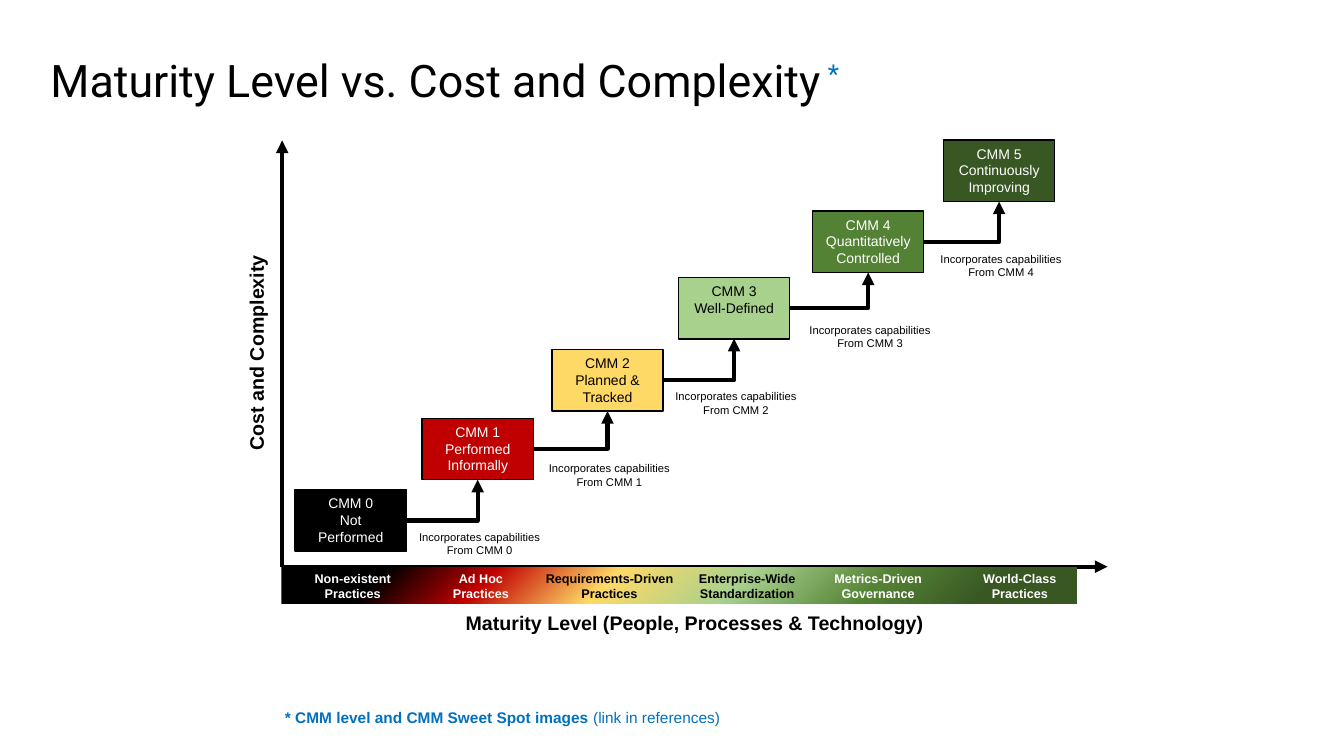
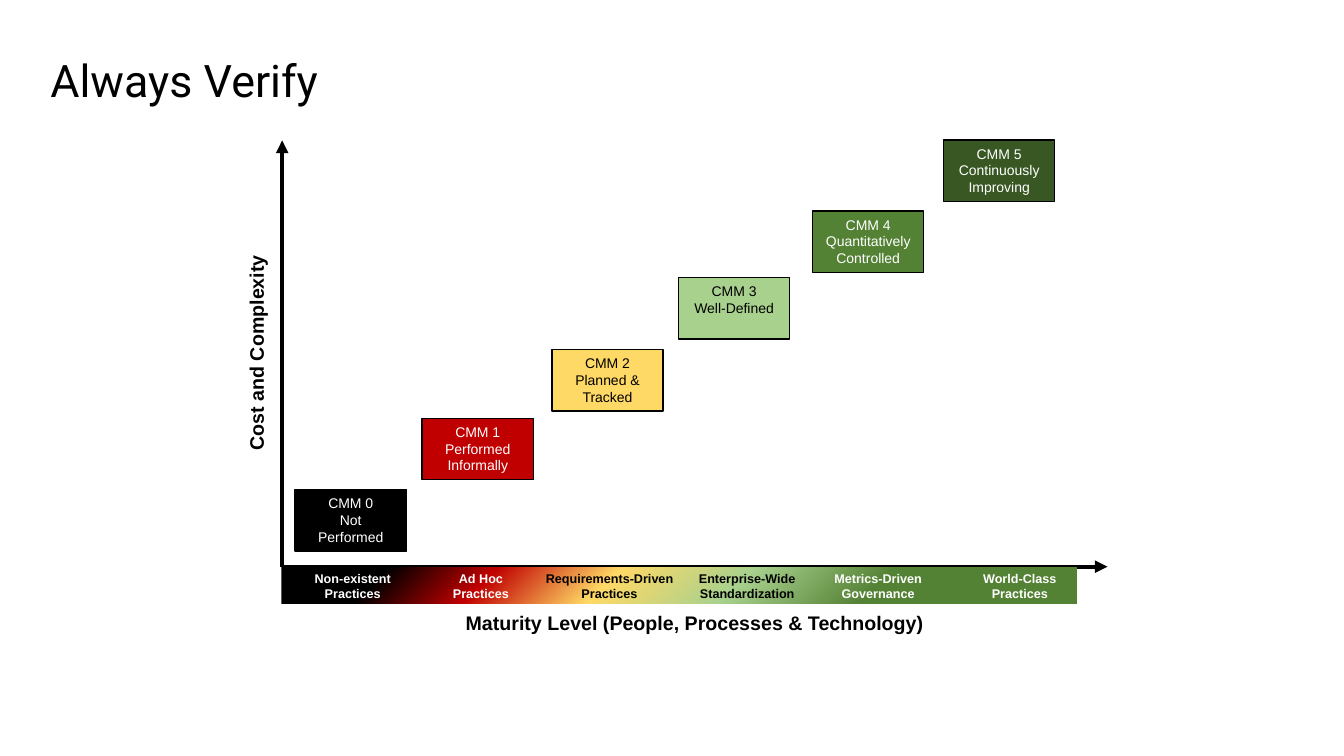
"""Build two slides that plot the CMM maturity levels against cost and complexity."""
import dataclasses

import lxml.etree
import pptx
import pptx.dml.color
import pptx.enum.dml
import pptx.enum.shapes
import pptx.enum.text
import pptx.oxml.ns
import pptx.util

Cm, Pt = pptx.util.Cm, pptx.util.Pt
RGB = pptx.dml.color.RGBColor.from_string
qn = pptx.oxml.ns.qn
ALIGN, ANCHOR = pptx.enum.text.PP_ALIGN, pptx.enum.text.MSO_ANCHOR
SHAPE, CONNECTOR = pptx.enum.shapes.MSO_SHAPE, pptx.enum.shapes.MSO_CONNECTOR


@dataclasses.dataclass(frozen=True)
class Theme:
    black: str = "000000"
    white: str = "FFFFFF"
    red: str = "C00000"
    yellow: str = "FFD966"
    light_green: str = "A9D18E"
    green: str = "548235"
    dark_green: str = "385723"
    note_blue: str = "0070C0"
    title_font: str = "Roboto"
    body_font: str = "Arial"
    title_size: int = 32
    axis_size: int = 14
    note_size: int = 11
    level_size: int = 10
    practice_size: int = 9
    caption_size: int = 8
    outline: int = 1
    arrow: int = 3


theme = Theme()


def write(shape, text, size, colour, tail="", tail_colour=None, tail_format=None,
          align=ALIGN.CENTER, font=theme.body_font, bold=False, **frame_format):
    frame = shape.text_frame
    settings = {"word_wrap": True, "auto_size": pptx.enum.text.MSO_AUTO_SIZE.NONE}
    for key, value in (settings | frame_format).items():
        setattr(frame, key, value)
    base = {"name": font, "size": Pt(size), "bold": bold}
    lines = text.split("\n")
    for number, line in enumerate(lines):
        paragraph = frame.add_paragraph() if number else frame.paragraphs[0]
        paragraph.alignment = align
        parts = [(line, colour, base)]
        if tail and number == len(lines) - 1:
            parts.append((tail, tail_colour or colour, base | (tail_format or {})))
        for words, shade, font_format in parts:
            run = paragraph.add_run()
            run.text = words
            for key, value in font_format.items():
                setattr(run.font, key, value)
            run.font.color.rgb = RGB(shade)
    return frame.paragraphs[-1].runs[-1]


def make_arrow(connector):
    connector.line.width = Pt(theme.arrow)
    connector.line.fill.solid()
    connector.line.fill.fore_color.rgb = RGB(theme.black)
    properties = connector._element.spPr
    lxml.etree.SubElement(properties.find(qn("a:ln")), qn("a:tailEnd"), type="triangle")
    lxml.etree.SubElement(properties, qn("a:effectLst"))


# name, fill, text colour, left, top, practice, practice centre, gradient stop
levels = [
    ("Not\nPerformed", theme.black, theme.white, 7.44, 12.34,
     "Non-existent\nPractices", 8.89, 13),
    ("Performed\nInformally", theme.red, theme.white, 10.64, 10.54,
     "Ad Hoc\nPractices", 12.12, 26),
    ("Planned & Tracked", theme.yellow, theme.black, 13.91, 8.81,
     "Requirements-Driven\nPractices", 15.36, 41),
    ("Well-Defined", theme.light_green, theme.black, 17.1, 6.99,
     "Enterprise-Wide\nStandardization", 18.83, 57),
    ("Quantitatively\nControlled", theme.green, theme.white, 20.48, 5.32,
     "Metrics-Driven\nGovernance", 22.13, 74),
    ("Continuously\nImproving", theme.dark_green, theme.white, 23.78, 3.53,
     "World-Class\nPractices", 25.7, 88),
]
slides = [
    ("Maturity Level vs. Cost and Complexity", " *", theme.dark_green),
    ("Always Verify", "", theme.green),
]
level_width, level_height = 2.8, 1.55
caption_width, practice_width = 3.6, 4
origin_x, origin_y = 7.11, 14.28
no_margins = dict.fromkeys(
    ("margin_left", "margin_right", "margin_top", "margin_bottom"), 0)

deck = pptx.Presentation()
deck.slide_width, deck.slide_height = Cm(33.87), Cm(19.05)

for heading, mark, last_colour in slides:
    slide = deck.slides.add_slide(deck.slide_layouts[5])
    shapes = slide.shapes
    title = shapes.title
    place = {"left": 1.27, "top": 1.27, "width": 31.3, "height": 1.45}
    for key, value in place.items():
        setattr(title, key, Cm(value))
    last_run = write(title, heading, theme.title_size, theme.black, mark, theme.note_blue,
                     align=ALIGN.LEFT, font=theme.title_font,
                     vertical_anchor=ANCHOR.MIDDLE, **no_margins)
    if mark:
        last_run._r.get_or_add_rPr().set("baseline", "30000")

    boxes = []
    for number, (name, fill, ink, left, top, *_) in enumerate(levels):
        box = shapes.add_shape(SHAPE.RECTANGLE, Cm(left), Cm(top),
                               Cm(level_width), Cm(level_height))
        box.shadow.inherit = False
        box.fill.solid()
        box.fill.fore_color.rgb = RGB(fill)
        box.line.color.rgb = RGB(theme.black)
        box.line.width = Pt(theme.outline)
        write(box, f"CMM {number}\n{name}", theme.level_size, ink,
              vertical_anchor=ANCHOR.TOP)
        if mark and boxes:
            step = shapes.add_connector(CONNECTOR.ELBOW, 0, 0, 0, 0)
            step.begin_connect(boxes[-1], 3)
            step.end_connect(box, 2)
            step._element.spPr.find(qn("a:prstGeom")).set("prst", "bentConnector2")
            make_arrow(step)
            caption = shapes.add_textbox(Cm(left - 0.35), Cm(top + 2.7),
                                         Cm(caption_width), Cm(0.95))
            write(caption, f"Incorporates capabilities\nFrom CMM {number - 1}",
                  theme.caption_size, theme.black)
        boxes.append(box)

    for end_x, end_y in ((27.91, origin_y), (origin_x, 3.54)):
        make_arrow(shapes.add_connector(CONNECTOR.STRAIGHT, Cm(origin_x), Cm(origin_y),
                                        Cm(end_x), Cm(end_y)))

    for label, left, top, width, angle in (
            ("Cost and Complexity", 1.09, 8.46, 10.74, 270),
            ("Maturity Level (People, Processes & Technology)", origin_x, 15.27, 20.8, 0)):
        axis_label = shapes.add_textbox(Cm(left), Cm(top), Cm(width), Cm(0.86))
        axis_label.rotation = angle
        write(axis_label, label, theme.axis_size, theme.black, bold=True)

    band = shapes.add_shape(SHAPE.RECTANGLE, Cm(7.09), Cm(14.3), Cm(20.04), Cm(0.91))
    band.shadow.inherit = False
    band.line.fill.background()
    band.fill.gradient()
    band.fill.gradient_angle = 315
    stops = band._element.spPr.find(qn("a:gradFill")).find(qn("a:gsLst"))
    for stop in list(stops):
        stops.remove(stop)
    inner = [(level[-1], level[1]) for level in levels[:-1]]
    for percent, colour in [(0, theme.black), *inner,
                            (levels[-1][-1], last_colour), (100, last_colour)]:
        stop = lxml.etree.SubElement(stops, qn("a:gs"), pos=str(percent * 1000))
        lxml.etree.SubElement(stop, qn("a:srgbClr"), val=colour)

    for *_, ink, _left, _top, practice, centre, _stop in levels:
        practice_label = shapes.add_textbox(Cm(centre - practice_width / 2), Cm(14.25),
                                            Cm(practice_width), Cm(1.02))
        write(practice_label, practice, theme.practice_size, ink, bold=True)

    if mark:
        footnote = shapes.add_textbox(Cm(6.93), Cm(17.73), Cm(16.92), Cm(0.74))
        write(footnote, "* CMM level and CMM Sweet Spot images ", theme.note_size,
              theme.note_blue, "(link in references)", tail_format={"bold": False},
              align=ALIGN.LEFT, bold=True)

deck.save("out.pptx")
